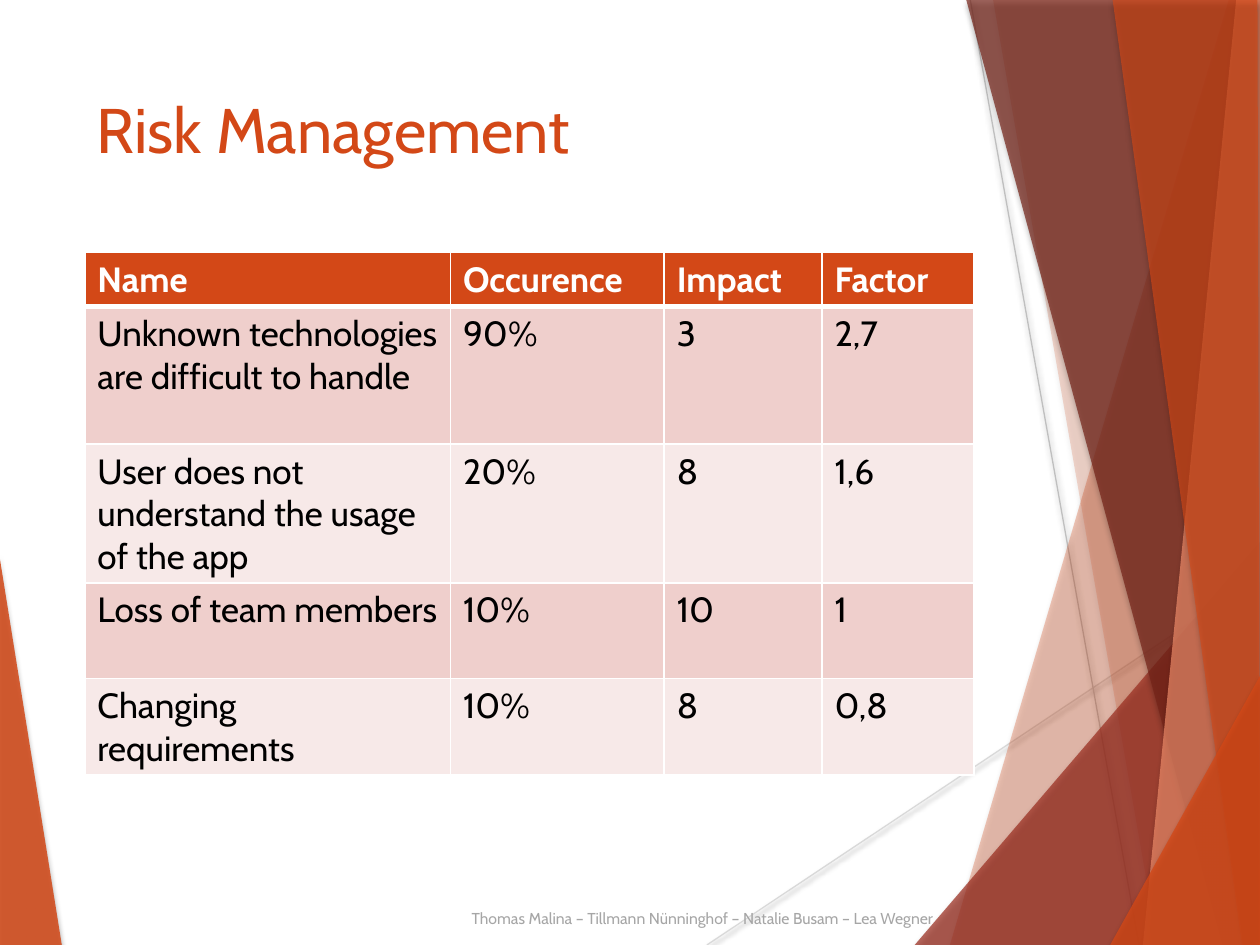
"""Builds the risk management slide."""
from lxml.etree import SubElement
from pptx import Presentation
from pptx.dml.color import RGBColor
from pptx.enum.shapes import MSO_CONNECTOR
from pptx.enum.text import MSO_ANCHOR, PP_ALIGN
from pptx.oxml import parse_xml
from pptx.oxml.ns import nsdecls, qn
from pptx.util import Cm, Pt

FONT = "Cabin"
C = {"orange": "D34817", "red": "9B2D1F", "maroon": "742217", "salmon": "EF8C6A",
     "row_a": "EFCFCC", "row_b": "F7E9E8", "white": "FFFFFF", "black": "000000",
     "grey": "A6A6A6", "line_a": "D9D9D9", "line_b": "BFBFBF"}

TITLE = "Risk Management"
TEAM = "Thomas Malina – Tillmann Nünninghof – Natalie Busam – Lea Wegner"
RISKS = [
    ("Name", "Occurence", "Impact", "Factor"),
    ("Unknown technologies are difficult to handle", "90%", "3", "2,7"),
    ("User does not understand the usage of the app", "20%", "8", "1,6"),
    ("Loss of team members", "10%", "10", "1"),
    ("Changing requirements", "10%", "8", "0,8"),
]
COL_W = [7.37, 4.31, 3.18, 3.07]
ROW_H = [1.09, 2.77, 2.77, 1.93, 1.93]

R, B = 25.42, 19.05
LEFT_FACET = ("orange", 85, [(-0.02, 11.15), (1.25, 19.07), (-0.02, B)])
RAYS = [("line_a", (14.25, B), (R, 11.61)), ("line_b", (19.56, 0), (22.96, B))]
RIGHT_FACETS = [
    ("orange", 30, [(24.77, 0), (19.15, B), (R, B), (R, 0)]),
    ("orange", 20, [(20.02, 0), (23.34, B), (R, B), (R, 0)]),
    ("red", 72, [(18.44, B), (R, 10.9), (R, B)]),
    ("maroon", 70, [(19.48, 0), (24.64, B), (R, B), (R, 0)]),
    ("salmon", 70, [(24.92, 0), (23.04, B), (R, B), (R, 0)]),
    ("orange", 65, [(22.43, 0), (25.04, B), (25.4, B), (25.35, 0)]),
    ("orange", 80, [(22.38, B), (R, 13.59), (R, B)]),
]


def rgb(name):
    return RGBColor.from_string(C[name])


def add_shadow(shape, alpha, blur, dist):
    shape._element.spPr.append(parse_xml(
        f'<a:effectLst {nsdecls("a")}><a:outerShdw blurRad="{Pt(blur)}" '
        f'dist="{Pt(dist)}" dir="5400000" algn="ctr" rotWithShape="0">'
        f'<a:srgbClr val="{C["black"]}"><a:alpha val="{alpha * 1000}"/></a:srgbClr>'
        '</a:outerShdw></a:effectLst>'))


def add_facet(s, color, alpha, pts):
    pts = [(Cm(x), Cm(y)) for x, y in pts]
    fb = s.shapes.build_freeform(*pts[0])
    fb.add_line_segments(pts[1:])
    sp = fb.convert_to_shape()
    sp.fill.solid()
    sp.fill.fore_color.rgb = rgb(color)
    clr = sp._element.spPr.find(".//" + qn("a:srgbClr"))
    SubElement(clr, qn("a:alpha"), val=str(alpha * 1000))
    sp.line.fill.background()
    add_shadow(sp, 35, 3, 2)


def add_ray(s, color, start, end):
    ln = s.shapes.add_connector(MSO_CONNECTOR.STRAIGHT, *(Cm(v) for v in start + end))
    ln.line.color.rgb = rgb(color)
    ln.line.width = Pt(0.75)
    add_shadow(ln, 38, 3.1, 1.6)


def write(tf, text, size=20, color="black", bold=False, align=PP_ALIGN.LEFT):
    p = tf.paragraphs[0]
    p.alignment = align
    r = p.add_run()
    r.text = text
    r.font.name, r.font.size, r.font.bold = FONT, Pt(size), bold
    r.font.color.rgb = rgb(color)


def add_borders(cell, **widths):
    tcPr = cell._tc.get_or_add_tcPr()
    for side in "LRTB":
        tcPr.append(parse_xml(
            f'<a:ln{side} {nsdecls("a")} w="{Pt(widths.get(side, 1))}"><a:solidFill>'
            f'<a:srgbClr val="{C["white"]}"/></a:solidFill></a:ln{side}>'))


def add_risks(s):
    tbl = s.shapes.add_table(len(RISKS), len(COL_W), Cm(1.71), Cm(5.08),
                             Cm(sum(COL_W)), Cm(sum(ROW_H))).table
    for col, w in zip(tbl.columns, COL_W):
        col.width = Cm(w)
    for i, (row, h, values) in enumerate(zip(tbl.rows, ROW_H, RISKS)):
        row.height = Cm(h)
        head = i == 0
        fill = "orange" if head else "row_a" if i % 2 else "row_b"
        for cell, text in zip(row.cells, values):
            add_borders(cell, B=3 if head else 1, T=3 if i == 1 else 1)
            cell.fill.solid()
            cell.fill.fore_color.rgb = rgb(fill)
            write(cell.text_frame, text, color="white" if head else "black", bold=head)


def main():
    prs = Presentation()
    prs.slide_width, prs.slide_height = Cm(25.4), Cm(19.05)
    s = prs.slides.add_slide(prs.slide_layouts[5])

    add_facet(s, *LEFT_FACET)
    for ray in RAYS:
        add_ray(s, *ray)
    for facet in RIGHT_FACETS:
        add_facet(s, *facet)

    title = s.shapes.title
    title.left, title.top, title.width, title.height = Cm(1.7), Cm(1.7), Cm(17.63), Cm(3.66)
    title.text_frame.vertical_anchor = MSO_ANCHOR.TOP
    write(title.text_frame, TITLE, size=36, color="orange")

    tf = s.shapes.add_textbox(Cm(1.42), Cm(18), Cm(17.63), Cm(1.02)).text_frame
    tf.word_wrap = True
    tf.vertical_anchor = MSO_ANCHOR.MIDDLE
    write(tf, TEAM, size=9, color="grey", align=PP_ALIGN.RIGHT)

    add_risks(s)
    prs.save("out.pptx")


if __name__ == "__main__":
    main()
